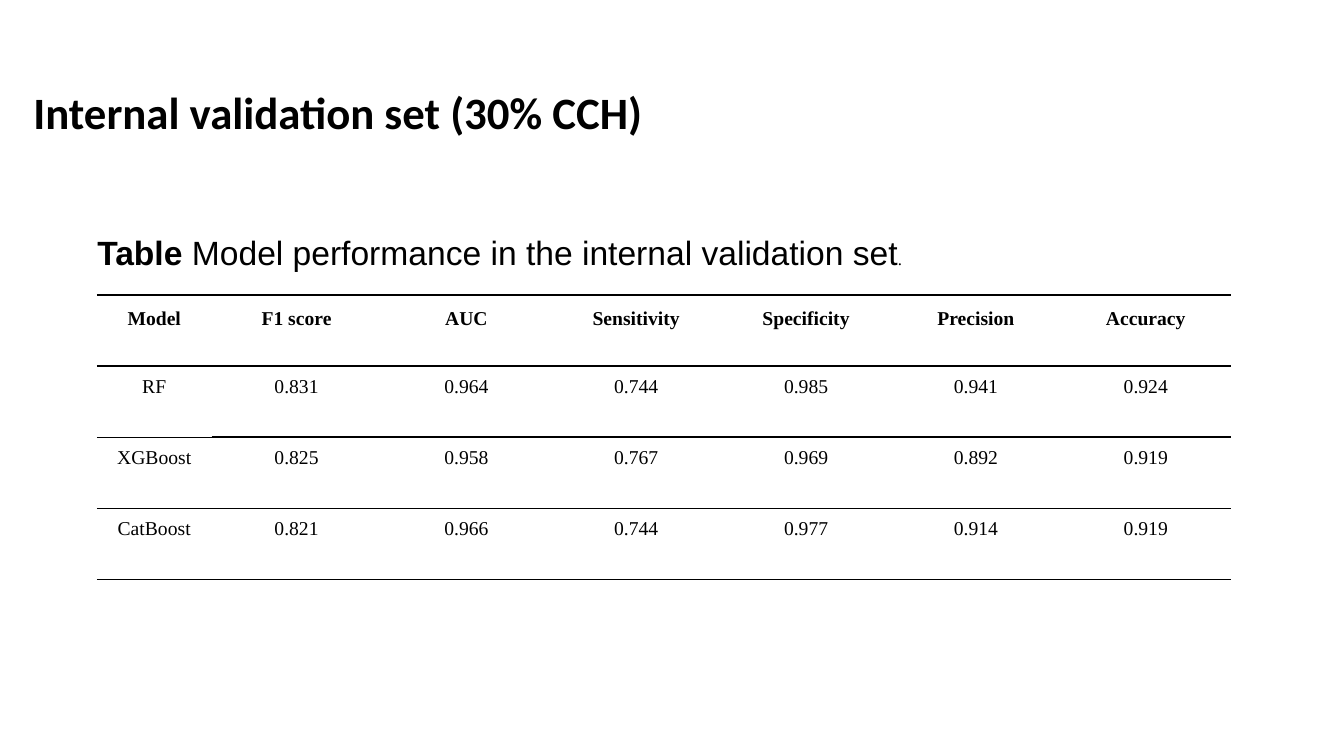
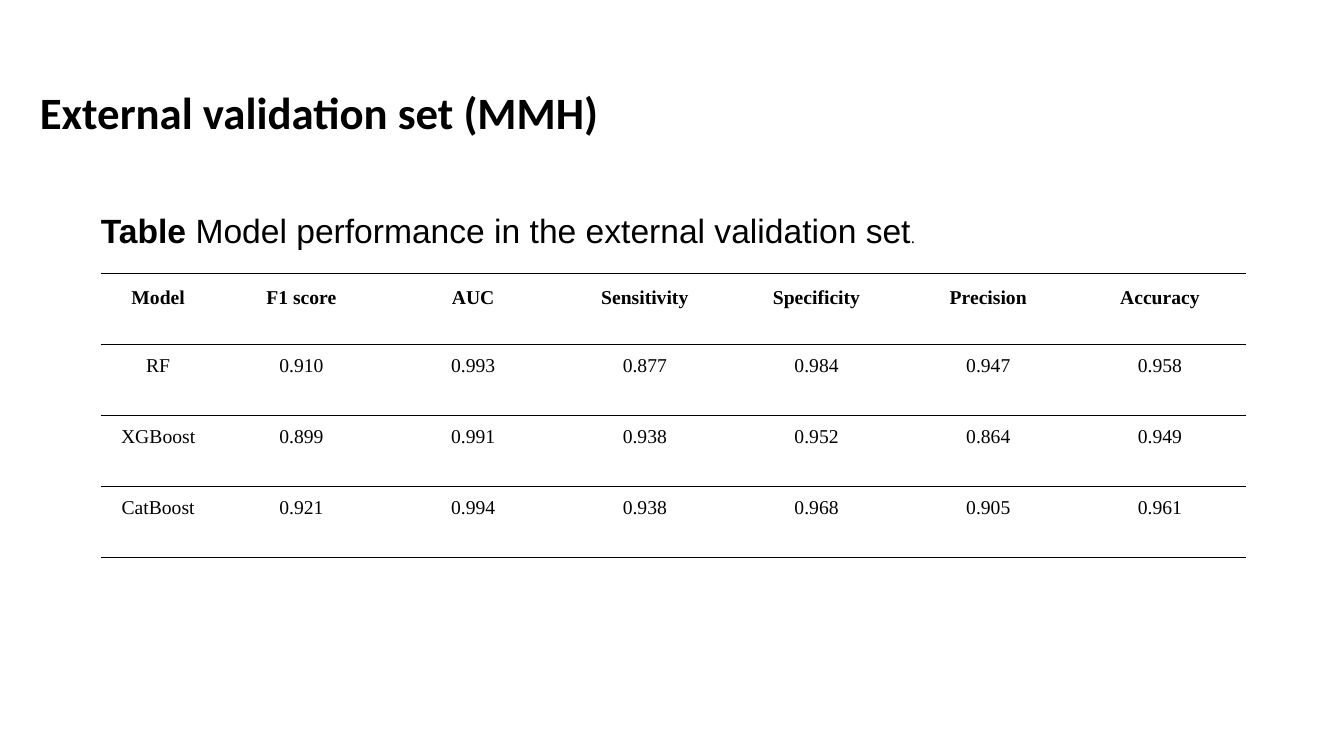
import pptx
import pptx.util
import pptx.dml.color
import pptx.enum.text
import pptx.oxml
import pptx.oxml.ns

Pt = pptx.util.Pt
BLACK = pptx.dml.color.RGBColor(0x00, 0x00, 0x00)
TITLE_FONT = "Calibri"
CAPTION_FONT = "Arial"
TABLE_FONT = "Times New Roman"
MIDDLE = pptx.enum.text.MSO_ANCHOR.MIDDLE
CENTER = pptx.enum.text.PP_ALIGN.CENTER

ROW_HEIGHT = 50.75
MODEL_WIDTH = 82
CELL_MARGIN = 7.2
THIN, THICK = 1, 1.5
STANDARD_RULES = [THICK, THICK, THIN, THIN, THIN]
HEAVY_RULES = [THICK, THICK, THICK, THIN, THIN]

HEADER = ["Model", "F1 score", "AUC", "Sensitivity", "Specificity", "Precision", "Accuracy"]
INTERNAL = [
    ["RF", "0.831", "0.964", "0.744", "0.985", "0.941", "0.924"],
    ["XGBoost", "0.825", "0.958", "0.767", "0.969", "0.892", "0.919"],
    ["CatBoost", "0.821", "0.966", "0.744", "0.977", "0.914", "0.919"],
]
EXTERNAL = [
    ["RF", "0.910", "0.993", "0.877", "0.984", "0.947", "0.958"],
    ["XGBoost", "0.899", "0.991", "0.938", "0.952", "0.864", "0.949"],
    ["CatBoost", "0.921", "0.994", "0.938", "0.968", "0.905", "0.961"],
]


def style_font(font, name, size, bold=False):
    font.name = name
    font.size = Pt(size)
    font.bold = bold
    font.color.rgb = BLACK


def add_text(s, left, top, width, height, runs):
    tf = s.shapes.add_textbox(Pt(left), Pt(top), Pt(width), Pt(height)).text_frame
    tf.word_wrap = True
    tf.vertical_anchor = MIDDLE
    p = tf.paragraphs[0]
    for text, name, size, bold in runs:
        r = p.add_run()
        r.text = text
        style_font(r.font, name, size, bold)
    return p


def add_title(s, left, text):
    p = add_text(s, left, 29.5, 897, 104.5, [(text, TITLE_FONT, 32, True)])
    p.line_spacing = 0.9


def add_caption(s, left, top, text):
    add_text(s, left, top, 810, 36, [
        ("Table ", CAPTION_FONT, 24, True),
        (text, CAPTION_FONT, 24, False),
        (".", TABLE_FONT, 12, False),
    ])


def add_border(cell, side, weight):
    if weight:
        attrs = f' w="{Pt(weight)}"'
        fill = f'<a:solidFill><a:srgbClr val="{BLACK}"/></a:solidFill>'
    else:
        attrs, fill = "", "<a:noFill/>"
    ns = pptx.oxml.ns.nsdecls("a")
    line = pptx.oxml.parse_xml(f"<a:ln{side} {ns}{attrs}>{fill}</a:ln{side}>")
    cell._tc.get_or_add_tcPr().append(line)


def fill_cell(cell, text, is_header, above, below):
    cell.margin_left = cell.margin_right = Pt(CELL_MARGIN)
    cell.margin_top = cell.margin_bottom = Pt(CELL_MARGIN)
    for side, weight in (("L", 0), ("R", 0), ("T", above), ("B", below)):
        add_border(cell, side, weight)
    cell.fill.background()
    p = cell.text_frame.paragraphs[0]
    p.text = text
    p.alignment = CENTER
    if is_header:
        p.line_spacing = 1.15
    style_font(p.runs[0].font, TABLE_FONT, 14, is_header)


def add_results(s, left, top, width, body, value_rules):
    rows = [HEADER] + body
    table = s.shapes.add_table(len(rows), len(HEADER), Pt(left), Pt(top),
                               Pt(width), Pt(ROW_HEIGHT * len(rows))).table
    table.first_row = False
    table.horz_banding = False
    value_width = (width - MODEL_WIDTH) / (len(HEADER) - 1)
    for j, column in enumerate(table.columns):
        column.width = Pt(value_width if j else MODEL_WIDTH)
    for i, row in enumerate(rows):
        table.rows[i].height = Pt(ROW_HEIGHT)
        for j, text in enumerate(row):
            rules = value_rules if j else STANDARD_RULES
            fill_cell(table.cell(i, j), text, i == 0, rules[i], rules[i + 1])


def add_slide(prs, title, title_left, caption, caption_at, table_box, body, value_rules):
    s = prs.slides.add_slide(prs.slide_layouts[6])
    add_results(s, *table_box, body, value_rules)
    add_title(s, title_left, title)
    add_caption(s, *caption_at, caption)


def main():
    prs = pptx.Presentation()
    prs.slide_width = Pt(960)
    prs.slide_height = Pt(540)
    add_slide(prs, "Internal validation set (30% CCH)", 16.8,
              "Model performance in the internal validation set", (62.4, 162.2),
              (69.2, 210.8, 810), INTERNAL, HEAVY_RULES)
    add_slide(prs, "External validation set (MMH)", 21.4,
              "Model performance in the external validation set", (65, 146.5),
              (72, 195.3, 818), EXTERNAL, STANDARD_RULES)
    prs.save("out.pptx")


if __name__ == "__main__":
    main()
